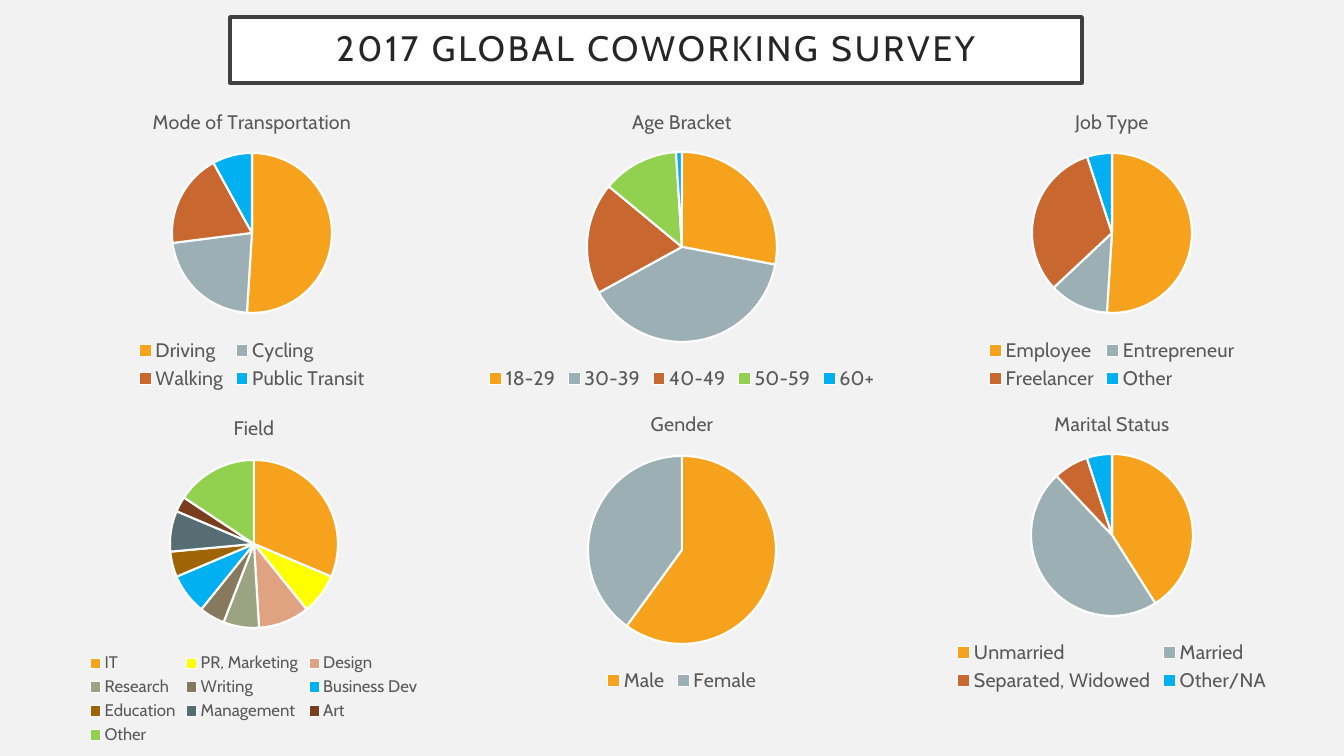
import pptx
import pptx.util
import pptx.chart.data
import pptx.dml.color
import pptx.enum.chart
import pptx.enum.shapes
import pptx.enum.text
import lxml.etree

PX = 914400 / 100.8
FONT = "Cabin"
COLORS = {
    "background": "F2F2F2", "white": "FFFFFF", "frame": "404040",
    "heading": "262626", "label": "595959",
    "orange": "F6A21D", "gray": "9BAFB5", "rust": "C96731",
    "green": "92D050", "blue": "00B0F0", "yellow": "FFFF00",
    "peach": "E0A382", "sage": "9CA383", "taupe": "87795D",
    "bronze": "9F6406", "slate": "566D74", "brown": "793E1D",
}
FOUR = ["orange", "gray", "rust", "blue"]
FIVE = ["orange", "gray", "rust", "green", "blue"]
TEN = ["orange", "yellow", "peach", "sage", "taupe",
       "blue", "bronze", "slate", "brown", "green"]


def px(*lengths):
    return [pptx.util.Emu(round(length * PX)) for length in lengths]


def write(frame, text, size, color, spacing=0, line_spacing=None):
    paragraph = frame.paragraphs[0]
    paragraph.alignment = pptx.enum.text.PP_ALIGN.CENTER
    paragraph.line_spacing = line_spacing
    run = paragraph.add_run()
    run.text = text
    run.font.size = pptx.util.Pt(size)
    run.font.name = FONT
    run.font.bold = False
    run.font.color.rgb = pptx.dml.color.RGBColor.from_string(COLORS[color])
    if spacing:
        run.font._element.set("spc", str(spacing * 100))


deck = pptx.Presentation()
deck.slide_width, deck.slide_height = px(1344, 756)
slide = deck.slides.add_slide(deck.slide_layouts[6])
slide.background.fill.solid()
slide.background.fill.fore_color.rgb = pptx.dml.color.RGBColor.from_string(COLORS["background"])

heading = slide.shapes.add_shape(pptx.enum.shapes.MSO_SHAPE.RECTANGLE, *px(230, 17, 852, 66))
heading.shadow.inherit = False
heading.fill.solid()
heading.fill.fore_color.rgb = pptx.dml.color.RGBColor.from_string(COLORS["white"])
heading.line.color.rgb = pptx.dml.color.RGBColor.from_string(COLORS["frame"])
heading.line.width = pptx.util.Pt(2.5)
heading_text = heading.text_frame
heading_text.word_wrap = True
heading_text.vertical_anchor = pptx.enum.text.MSO_ANCHOR.MIDDLE
(heading_text.margin_left, heading_text.margin_top,
 heading_text.margin_right, heading_text.margin_bottom) = px(20, 20, 20, 20)
write(heading_text, "2017 GLOBAL COWORKING SURVEY", size=25.2, color="heading",
      spacing=2, line_spacing=0.9)

surveys = [
    ("Age Bracket", (430, 93, 504, 302), (682, 247, 95), 14, FIVE,
     {"18-29": 28, "30-39": 39, "40-49": 19, "50-59": 13, "60+": 1}),
    ("Mode of Transportation", (0, 93, 504, 302), (252, 233, 80), 14, FOUR,
     {"Driving": 51, "Cycling": 22, "Walking": 19, "Public Transit": 8}),
    ("Job Type", (860, 93, 504, 302), (1112, 233, 80), 14, FOUR,
     {"Employee": 51, "Entrepreneur": 12, "Freelancer": 32, "Other": 5}),
    ("Field", (7, 398, 494, 351), (254, 544, 84), 12, TEN,
     {"IT": 32, "PR, Marketing": 8, "Design": 10, "Research": 7, "Writing": 5,
      "Business Dev": 8, "Education": 5, "Management": 8, "Art": 3, "Other": 16}),
    ("Gender", (430, 395, 504, 302), (682, 550, 94), 14, FOUR,
     {"Male": 60, "Female": 40}),
    ("Marital Status", (860, 395, 504, 302), (1112, 535, 81), 14, FOUR,
     {"Unmarried": 41, "Married": 47, "Separated, Widowed": 7, "Other/NA": 5}),
]

for topic, area, (center_x, center_y, radius), legend_size, palette, answers in surveys:
    left, top, width, height = area
    results = pptx.chart.data.CategoryChartData()
    results.categories = list(answers)
    results.add_series("Series 1", list(answers.values()))
    pie = slide.shapes.add_chart(pptx.enum.chart.XL_CHART_TYPE.PIE, *px(*area), results).chart
    pie.font.name = FONT
    pie.font.size = pptx.util.Pt(10)
    pie.has_title = True
    write(pie.chart_title.text_frame, topic, size=14, color="label")
    pie.chart_title.include_in_layout = False

    pie.has_legend = True
    pie.legend.position = pptx.enum.chart.XL_LEGEND_POSITION.BOTTOM
    pie.legend.include_in_layout = False
    pie.legend.font.name = FONT
    pie.legend.font.size = pptx.util.Pt(legend_size)
    pie.legend.font.color.rgb = pptx.dml.color.RGBColor.from_string(COLORS["label"])

    pie.plots[0].vary_by_categories = True
    for index in range(len(answers)):
        slice_format = pie.plots[0].series[0].points[index].format
        slice_format.fill.solid()
        slice_format.fill.fore_color.rgb = pptx.dml.color.RGBColor.from_string(COLORS[palette[index]])
        slice_format.line.color.rgb = pptx.dml.color.RGBColor.from_string(COLORS["white"])
        slice_format.line.width = pptx.util.Pt(1.5)

    plot_area = pie._chartSpace.chart.plotArea
    namespace = plot_area.nsmap["c"]
    for layout in plot_area.findall(f"{{{namespace}}}layout"):
        plot_area.remove(layout)
    layout = lxml.etree.Element(f"{{{namespace}}}layout")
    manual = lxml.etree.SubElement(layout, f"{{{namespace}}}manualLayout")
    settings = {
        "layoutTarget": "inner", "xMode": "edge", "yMode": "edge",
        "x": (center_x - radius - left) / width,
        "y": (center_y - radius - top) / height,
        "w": 2 * radius / width,
        "h": 2 * radius / height,
    }
    for name, setting in settings.items():
        lxml.etree.SubElement(manual, f"{{{namespace}}}{name}").set("val", str(setting))
    plot_area.insert(0, layout)

deck.save("out.pptx")
